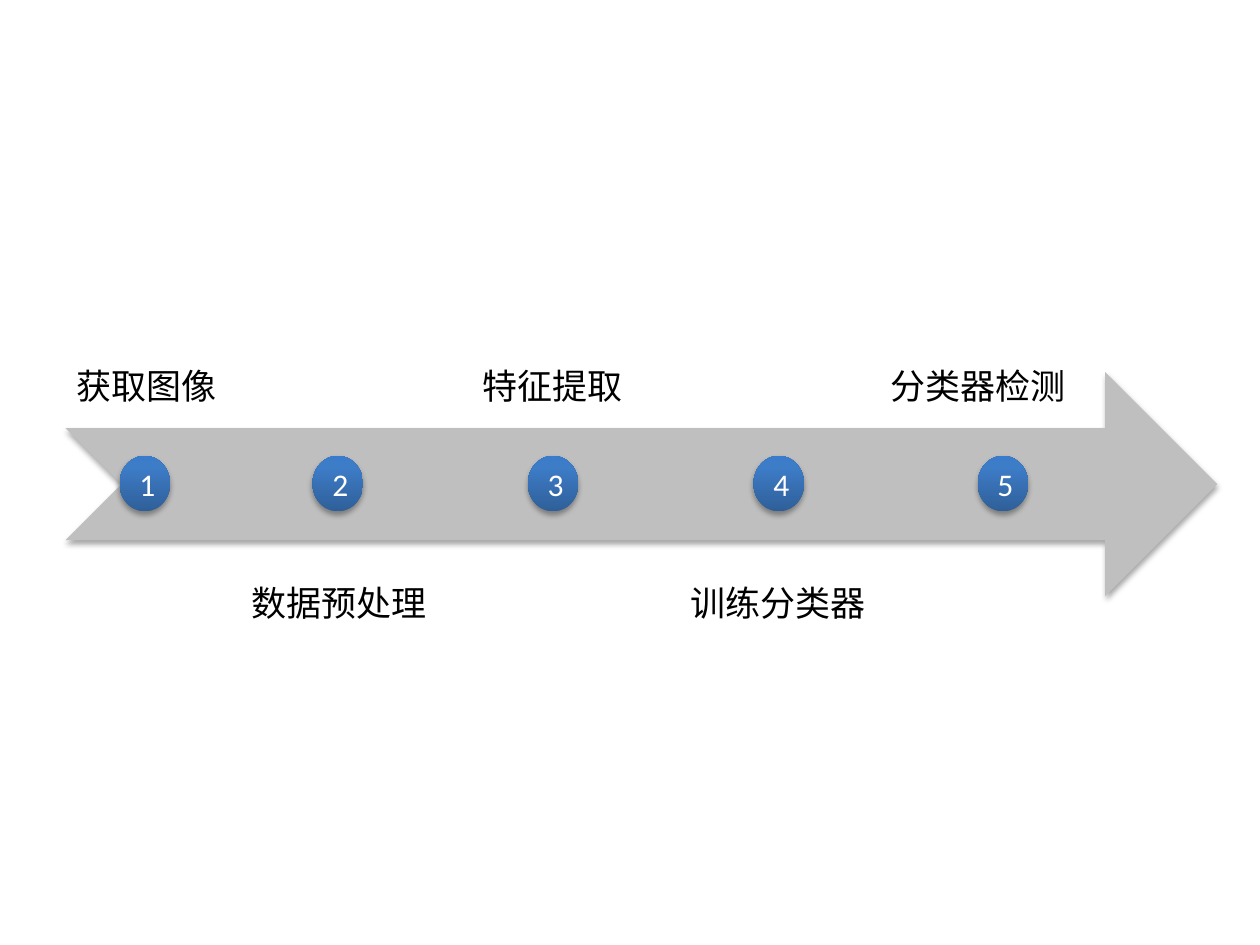
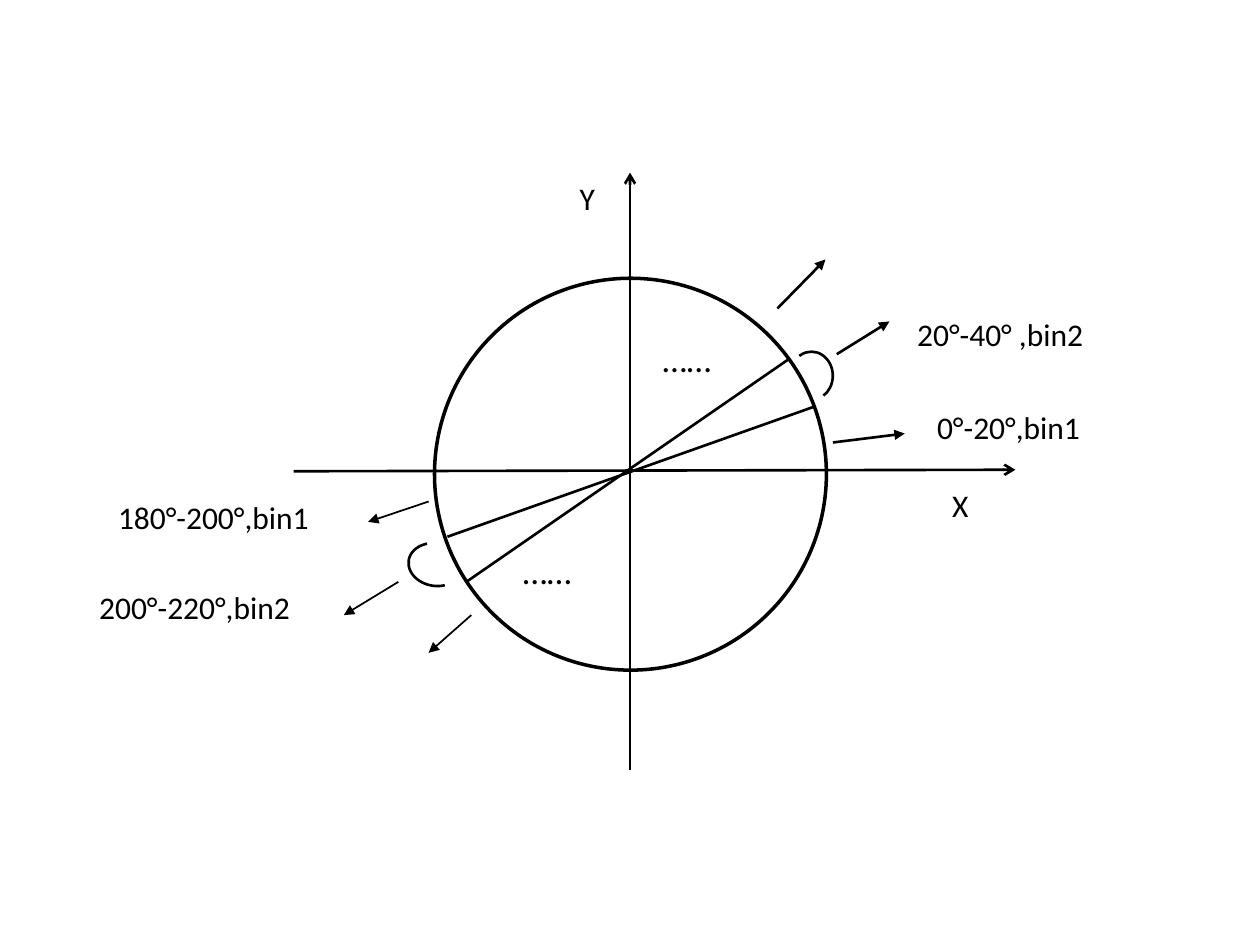
from copy import deepcopy

from lxml import etree
from pptx import Presentation
from pptx.dml.color import RGBColor
from pptx.enum import shapes, text
from pptx.oxml import ns
from pptx.util import Cm, Pt

COLORS = {
    "ink": "000000",
    "paper": "FFFFFF",
    "band": "BFBFBF",
    "step_dark": "2F5F99",
    "step_mid": "3D7CC7",
    "step_light": "3A7CCB",
}
LATIN = "Calibri"
HAN = "Noto Sans CJK SC"
BLANK_LAYOUT = 6


def rgb(name):
    return RGBColor.from_string(COLORS[name])


def sub(parent, tag, **attributes):
    return etree.SubElement(parent, ns.qn(tag), attributes)


def write(frame, words, size, font=LATIN, color="ink", align=text.PP_ALIGN.LEFT):
    paragraph = frame.paragraphs[0]
    paragraph.alignment = align
    run = paragraph.add_run()
    run.text = words
    run.font.size = Pt(size)
    run.font.name = font
    run.font.color.rgb = rgb(color)
    sub(run.font._element, "a:ea", typeface=font)
    return paragraph


def add_label(parts, left, top, width, height, words, size, **style):
    label = parts.add_textbox(Cm(left), Cm(top), Cm(width), Cm(height))
    label.text_frame.word_wrap = True
    paragraph = write(label.text_frame, words, size, **style)
    return label.text_frame, paragraph


def add_outline(parts, kind, left, top, width, height):
    outline = parts.add_shape(kind, Cm(left), Cm(top), Cm(width), Cm(height))
    outline.shadow.inherit = False
    return outline


def add_soft_shadow(shape):
    effects = shape._element.spPr.find(ns.qn("a:effectLst"))
    shadow = sub(effects, "a:outerShdw", blurRad="40000", dist="23000",
                 dir="5400000", rotWithShape="0")
    sub(sub(shadow, "a:srgbClr", val=COLORS["ink"]), "a:alpha", val="35000")


def fill_step(fill, shape):
    fill.gradient()
    fill.gradient_angle = 90
    stops = shape._element.spPr.find(ns.qn("a:gradFill")).find(ns.qn("a:gsLst"))
    stops.append(deepcopy(stops[-1]))
    shades = ((0, "step_dark"), (0.8, "step_mid"), (1, "step_light"))
    for stop, (position, shade) in zip(fill.gradient_stops, shades):
        stop.position = position
        stop.color.rgb = rgb(shade)


def add_line(parts, start, end, weight=1.5, head=None):
    line = parts.add_connector(shapes.MSO_CONNECTOR.STRAIGHT,
                               *(Cm(value) for value in (*start, *end)))
    line.line.color.rgb = rgb("ink")
    line.line.width = Pt(weight)
    if head:
        sub(line.line._get_or_add_ln(), "a:tailEnd", type=head)
    sub(line._element.spPr, "a:effectLst")


def build_process(slide, left, top, width):
    parts = slide.shapes.add_group_shape().shapes
    band = add_outline(parts, shapes.MSO_SHAPE.NOTCHED_RIGHT_ARROW,
                       left + 0.48, top + 1.18, width - 0.48, 4.52)
    band.fill.solid()
    band.fill.fore_color.rgb = rgb("band")
    band.line.fill.background()
    add_soft_shadow(band)

    steps = (
        ("获取图像", 0, 4.24, 1.57),
        ("数据预处理", 3.63, 4.72, 5.46),
        ("特征提取", 8.28, 4.04, 9.8),
        ("训练分类器", 12.42, 4.85, 14.35),
        ("分类器检测", 16.38, 5, 18.87),
    )
    for number, (name, name_x, name_width, dot_x) in enumerate(steps, 1):
        above = number % 2 == 1
        frame, paragraph = add_label(
            parts, left + name_x, top + (0 if above else 5.11), name_width, 2.26,
            name, 20, font=HAN, align=text.PP_ALIGN.CENTER)
        paragraph.line_spacing = 0.9
        frame.vertical_anchor = text.MSO_ANCHOR.BOTTOM if above else text.MSO_ANCHOR.TOP
        frame.margin_left = frame.margin_right = Cm(0.4)
        frame.margin_top = frame.margin_bottom = Cm(0.4)

        dot = add_outline(parts, shapes.MSO_SHAPE.OVAL,
                          left + dot_x, top + 2.87, 1.02, 1.12)
        fill_step(dot.fill, dot)
        dot.line.fill.background()
        add_soft_shadow(dot)
        dot.text_frame.vertical_anchor = text.MSO_ANCHOR.MIDDLE
        write(dot.text_frame, str(number), 18, color="paper",
              align=text.PP_ALIGN.CENTER)


def build_bins(slide, left, top):
    parts = slide.shapes

    def at(x, y):
        return left + x, top + y

    circle = add_outline(parts, shapes.MSO_SHAPE.FLOWCHART_CONNECTOR,
                         *at(7.01, 2.13), 7.9, 7.9)
    circle.fill.solid()
    circle.fill.fore_color.rgb = rgb("paper")
    circle.line.color.rgb = rgb("ink")
    circle.line.width = Pt(2)

    add_line(parts, at(4.17, 6.02), at(18.72, 5.99), head="arrow")
    add_line(parts, at(10.95, 12.04), at(10.95, 0), head="arrow")
    for name, x, y in (("Y", 8.97, 0), ("X", 16.49, 6.2)):
        add_label(parts, *at(x, y), 2.24, 1.02, name, 18, align=text.PP_ALIGN.CENTER)

    add_line(parts, at(14.15, 3.76), at(7.65, 8.25))
    add_line(parts, at(14.66, 4.72), at(7.27, 7.34))

    arcs = (
        (14.18, 3.61, 0.86, 0.97, 0, 143.1),
        (6.48, 7.47, 1.09, 0.86, 189.5, 141.68),
    )
    for x, y, width, height, turn, start in arcs:
        arc = add_outline(parts, shapes.MSO_SHAPE.ARC, *at(x, y), width, height)
        arc.adjustments[0] = start
        arc.adjustments[1] = 35.24
        arc.rotation = turn
        arc.fill.background()
        arc.line.color.rgb = rgb("ink")
        arc.line.width = Pt(1.5)

    directions = (
        ((15.04, 5.44), (16.49, 5.26), 1.5),
        ((15.12, 3.66), (16.18, 3), 1.5),
        ((13.92, 2.74), (14.89, 1.75), 1.5),
        ((6.28, 8.25), (5.18, 8.92), 1),
        ((6.89, 6.63), (5.67, 7.04), 1),
        ((7.75, 8.92), (6.89, 9.68), 1),
    )
    for start, end, weight in directions:
        add_line(parts, at(*start), at(*end), weight, "triangle")

    for x, y in ((11.36, 3.2), (8.54, 7.47)):
        add_label(parts, *at(x, y), 3.91, 1.12, "……", 20)

    ranges = (
        ("20°-40° ,bin2", 16.49, 2.74, 4.98),
        ("0°-20°,bin1", 16.89, 4.62, 4.57),
        ("180°-200°,bin1", 0.38, 6.43, 5.66),
        ("200°-220°,bin2", 0, 8.25, 5.66),
    )
    for words, x, y, width in ranges:
        add_label(parts, *at(x, y), width, 1.02, words, 18)


def main():
    deck = Presentation()
    deck.slide_width, deck.slide_height = Cm(25.4), Cm(19.05)
    blank = deck.slide_layouts[BLANK_LAYOUT]
    build_process(deck.slides.add_slide(blank), 0.84, 6.32, 23.7)
    build_bins(deck.slides.add_slide(blank), 1.75, 3.48)
    deck.save("out.pptx")


if __name__ == "__main__":
    main()
